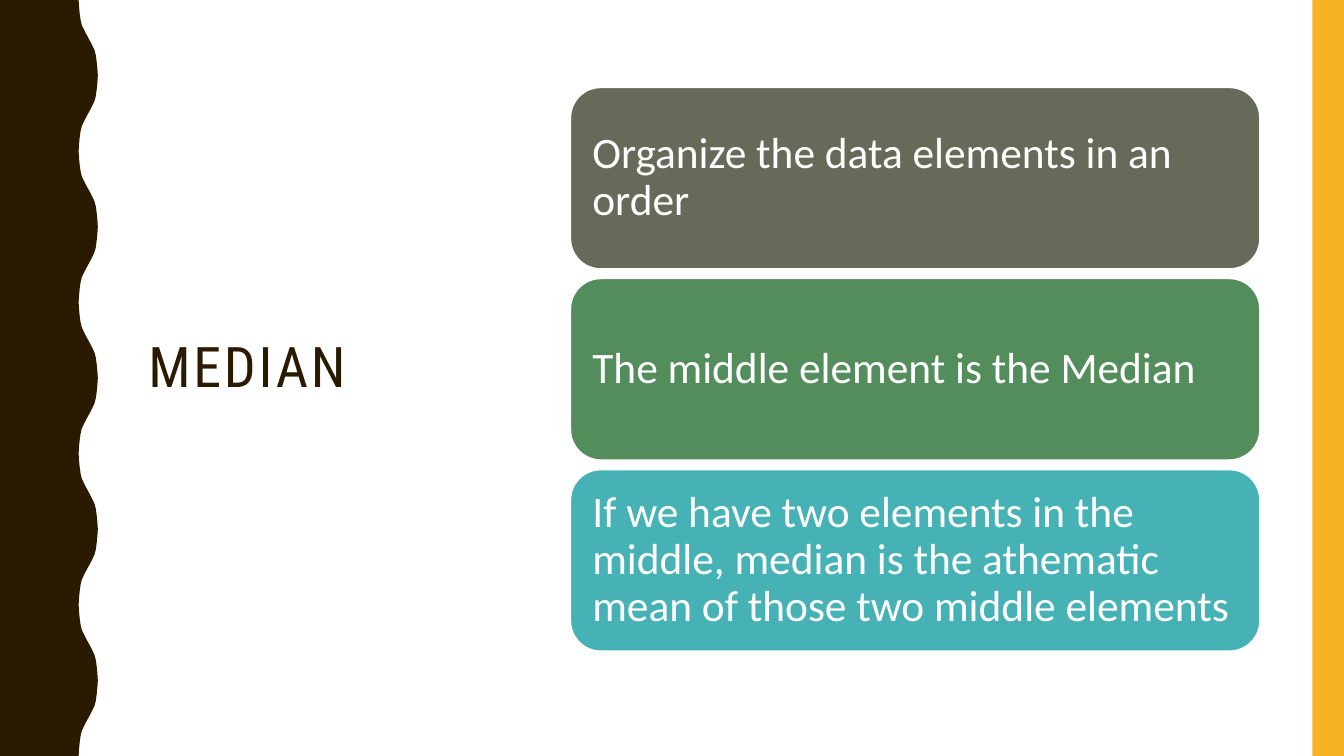
from pptx import Presentation
from pptx.dml.color import RGBColor
from pptx.enum import shapes, text
from pptx.util import Pt

COLORS = {
    "dark": "2A1A00",
    "gold": "F8B323",
    "white": "FFFFFF",
    "olive": "656A59",
    "green": "528D5B",
    "teal": "46B2B5",
}
STEPS = [
    ("Organize the data elements in an order", "olive"),
    ("The middle element is the Median", "green"),
    ("If we have two elements in the middle, median is the athematic "
     "mean of those two middle elements", "teal"),
]
RISE = [(0, 0), (5, 0.3), (10, 0.8), (14.4, 1.4), (18, 2.3), (21, 3.7), (24, 5.2)]
SCALE = 100


def rgb(name):
    return RGBColor.from_string(COLORS[name])


def paint(sp, fill, line=None):
    sp.shadow.inherit = False
    sp.fill.solid()
    sp.fill.fore_color.rgb = rgb(fill)
    if line:
        sp.line.color.rgb = rgb(line)
        sp.line.width = Pt(1)
    else:
        sp.line.fill.background()


def write(sp, words, font, size, color, inset_x, inset_y):
    tf = sp.text_frame
    tf.word_wrap = True
    tf.vertical_anchor = text.MSO_ANCHOR.MIDDLE
    tf.margin_left = tf.margin_right = Pt(inset_x)
    tf.margin_top = tf.margin_bottom = Pt(inset_y)
    p = tf.paragraphs[0]
    p.alignment = text.PP_ALIGN.LEFT
    p.line_spacing = 0.9
    r = p.add_run()
    r.text = words
    r.font.name = font
    r.font.size = Pt(size)
    r.font.color.rgb = rgb(color)
    return r


def add_wave(s, left, top, width, height, waves=5, depth=13.7):
    period = height / waves
    half = period / 2
    climb = RISE + [(half / 2, depth / 2)]
    climb += [(half - y, depth - x) for y, x in reversed(RISE)]
    wave = climb + [(period - y, x) for y, x in climb[-2::-1]]
    edge = [(left + width - depth + x, top + i * period + y)
            for i in range(waves) for y, x in wave]
    outline = edge + [(left, top + height)]
    fb = s.shapes.build_freeform(round(left * SCALE), round(top * SCALE),
                                 scale=Pt(1) / SCALE)
    fb.add_line_segments([(round(x * SCALE), round(y * SCALE)) for x, y in outline])
    paint(fb.convert_to_shape(), "dark")


def add_stripe(s, left, top, width, height):
    sp = s.shapes.add_shape(shapes.MSO_SHAPE.RECTANGLE,
                            Pt(left), Pt(top), Pt(width), Pt(height))
    paint(sp, "gold")


def add_title(s, left, top, width, height):
    sp = s.shapes.add_textbox(Pt(left), Pt(top), Pt(width), Pt(height))
    r = write(sp, "MEDIAN", "Roboto Condensed", 40, "dark", 7.2, 3.6)
    r.font._element.set("spc", "200")


def add_steps(s, left, top, width, height, gap=6.9):
    card = (height - gap * (len(STEPS) - 1)) / len(STEPS)
    for i, (words, fill) in enumerate(STEPS):
        sp = s.shapes.add_shape(shapes.MSO_SHAPE.ROUNDED_RECTANGLE,
                                Pt(left), Pt(top + i * (card + gap)),
                                Pt(width), Pt(card))
        paint(sp, fill, "white")
        write(sp, words, "Calibri", 31, "white", 9.3, 9.3)


def main():
    prs = Presentation()
    prs.slide_width, prs.slide_height = Pt(960), Pt(540)
    s = prs.slides.add_slide(prs.slide_layouts[6])
    add_wave(s, 0, 0, 69.9, 540)
    add_stripe(s, 937.5, 0, 22.5, 540)
    add_title(s, 98.9, 50.4, 266.4, 426.2)
    add_steps(s, 407.5, 62.5, 492.4, 402.6)
    prs.save("out.pptx")


if __name__ == "__main__":
    main()
